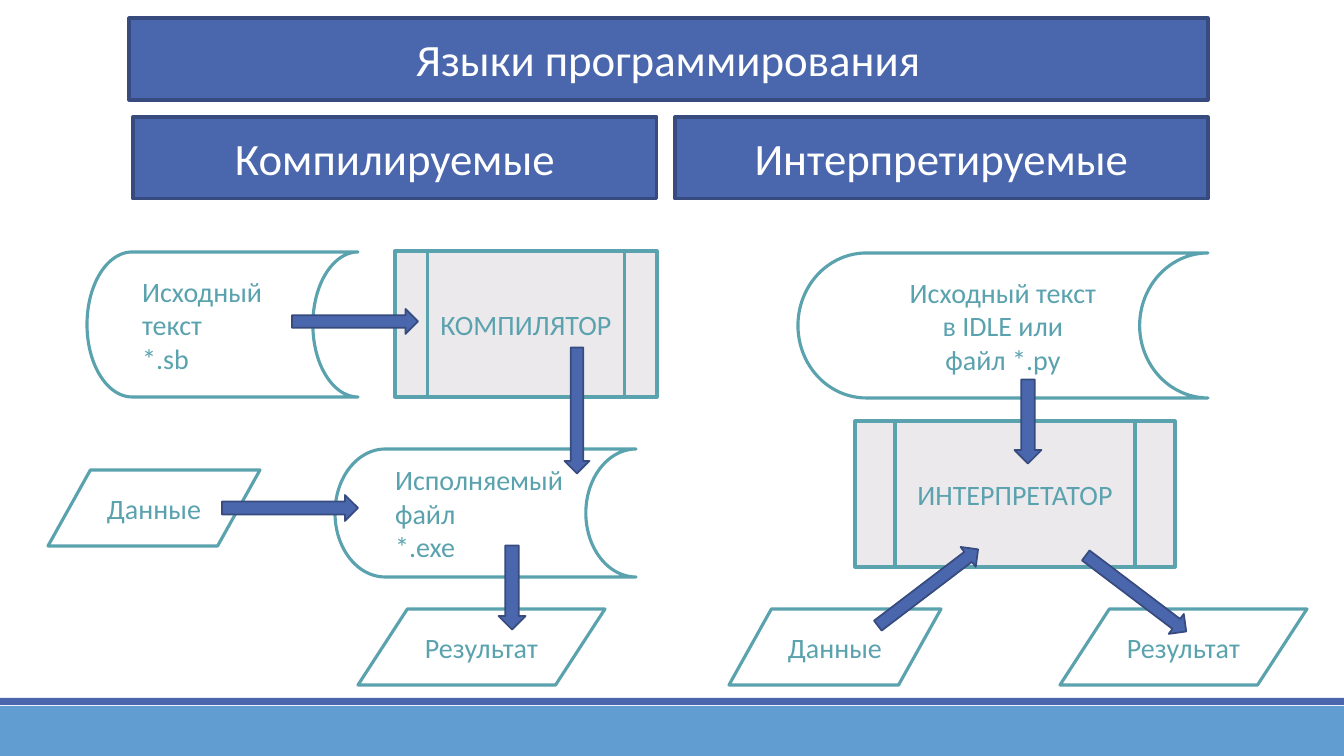
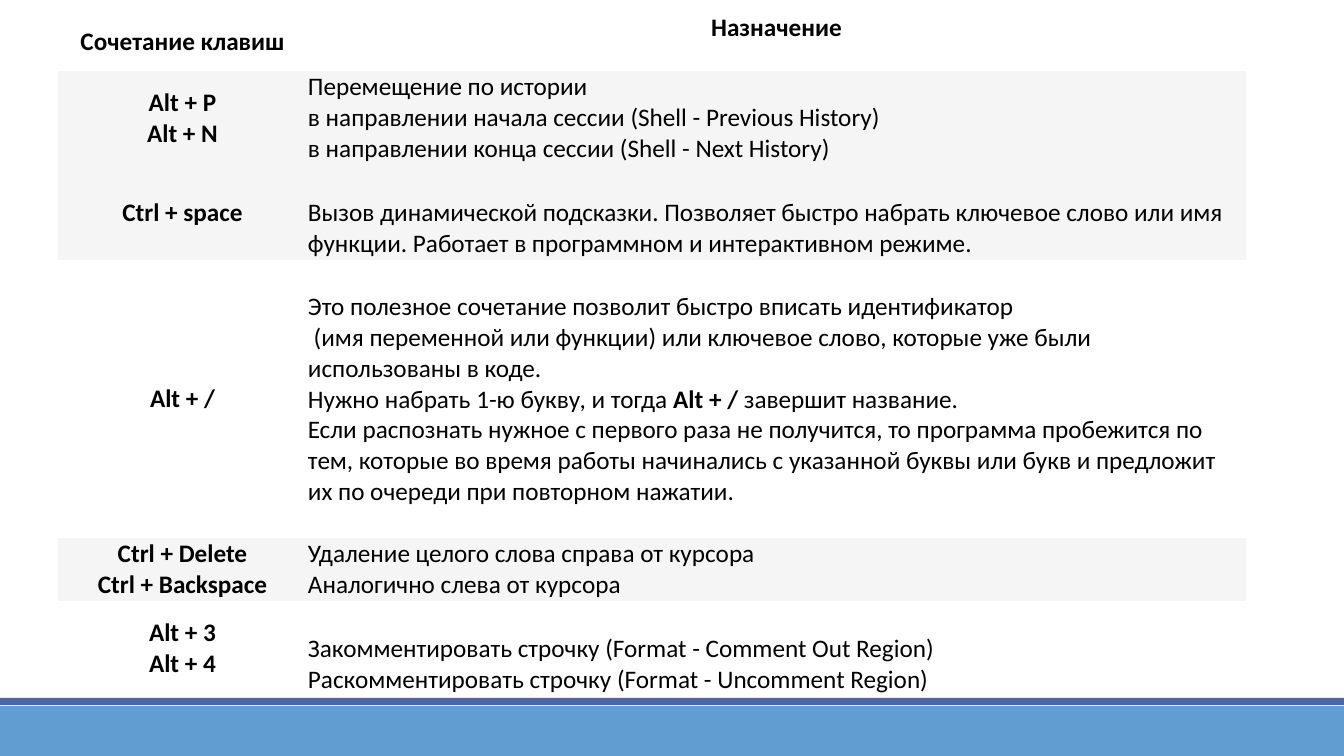
from pptx import Presentation
from pptx.dml.color import RGBColor
from pptx.enum.shapes import MSO_SHAPE as SHAPE
from pptx.enum.text import MSO_ANCHOR as ANCHOR, MSO_AUTO_SIZE as AUTO, PP_ALIGN as ALIGN
from pptx.util import Pt

INDIGO = RGBColor(0x4A, 0x66, 0xAC)
NAVY = RGBColor(0x37, 0x4B, 0x7F)
BLUE = RGBColor(0x62, 0x9D, 0xD1)
TEAL = RGBColor(0x5A, 0xA2, 0xAE)
PALE = RGBColor(0xEB, 0xE9, 0xEC)
GREY = RGBColor(0xF5, 0xF5, 0xF5)
WHITE = RGBColor(0xFF, 0xFF, 0xFF)
BLACK = RGBColor(0x00, 0x00, 0x00)
FONT = "Calibri"
PX = 914400 / 100.8


def px(*values):
    return [round(v * PX) for v in values]


def style(sp, fill=None, line=None, width=2.25, text="", size=20, color=TEAL, align=ALIGN.CENTER):
    if fill is None:
        sp.fill.background()
    else:
        sp.fill.solid()
        sp.fill.fore_color.rgb = fill
    if line is None:
        sp.line.fill.background()
    else:
        sp.line.color.rgb = line
        sp.line.width = Pt(width)
    if not text:
        return
    tf = sp.text_frame
    tf.text = text
    tf.word_wrap = True
    tf.auto_size = AUTO.NONE
    tf.vertical_anchor = ANCHOR.MIDDLE
    for p in tf.paragraphs:
        p.alignment = align
        for r in p.runs:
            r.font.name, r.font.size = FONT, Pt(size)
            r.font.color.rgb = color


prs = Presentation()
prs.slide_width, prs.slide_height = px(1344, 756)

s = prs.slides.add_slide(prs.slide_layouts[5])

master = prs.slide_master.shapes.element
for number, (y, h, fill) in enumerate([(706, 50, BLUE), (698, 7, INDIGO)], 101):
    band = s.shapes.add_shape(SHAPE.RECTANGLE, *px(0, y, 1344, h))
    band.shadow.inherit = False
    style(band, fill)
    band.element.nvSpPr.cNvPr.set("id", str(number))
    master.append(band.element)

HEADING = dict(fill=INDIGO, line=NAVY, size=32, color=WHITE)
FILE = dict(line=TEAL)
FILE_LEFT = dict(line=TEAL, align=ALIGN.LEFT)
PROCESS = dict(line=TEAL, fill=PALE)

title = s.shapes.title
title.left, title.top, title.width, title.height = px(129, 18, 1079, 82)
style(title, text="Языки программирования", **HEADING)

boxes = [
    (SHAPE.RECTANGLE, 133, 117, 524, 82, "Компилируемые", HEADING),
    (SHAPE.RECTANGLE, 675, 117, 533, 82, "Интерпретируемые", HEADING),
    (SHAPE.FLOWCHART_STORED_DATA, 87, 252, 271, 145, "Исходный текст\n*.sb", FILE_LEFT),
    (SHAPE.FLOWCHART_PREDEFINED_PROCESS, 395, 251, 262, 146, "КОМПИЛЯТОР", PROCESS),
    (SHAPE.FLOWCHART_STORED_DATA, 335, 449, 301, 128, "Исполняемый файл\n*.exe", FILE_LEFT),
    (SHAPE.FLOWCHART_DATA, 48, 470, 212, 76, "Данные", FILE),
    (SHAPE.FLOWCHART_DATA, 358, 609, 247, 76, "Результат", FILE),
    (SHAPE.FLOWCHART_STORED_DATA, 798, 253, 410, 145, "Исходный текст\nв IDLE или\nфайл *.py", FILE),
    (SHAPE.FLOWCHART_PREDEFINED_PROCESS, 855, 421, 320, 146, "ИНТЕРПРЕТАТОР", PROCESS),
    (SHAPE.FLOWCHART_DATA, 729, 609, 212, 76, "Данные", FILE),
    (SHAPE.FLOWCHART_DATA, 1060, 609, 247, 76, "Результат", FILE),
]
for kind, x, y, w, h, text, look in boxes:
    sp = s.shapes.add_shape(kind, *px(x, y, w, h))
    sp.shadow.inherit = False
    style(sp, text=text, **look)

arrows = [
    (292, 309, 126, 25, 0),
    (222, 495, 136, 26, 0),
    (514, 398, 126, 25, 90),
    (470, 574, 84, 27, 90),
    (986, 408, 84, 27, 90),
    (865, 575, 126, 25, 322.7),
    (1073, 581, 126, 25, 37.1),
]
for x, y, w, h, angle in arrows:
    sp = s.shapes.add_shape(SHAPE.RIGHT_ARROW, *px(x, y, w, h))
    sp.shadow.inherit = False
    sp.rotation = angle
    style(sp, INDIGO, NAVY, 1.25)

s = prs.slides.add_slide(prs.slide_layouts[6])
rows = [
    (59, 1, WHITE, "Сочетание клавиш", "|Назначение|"),
    (94, 1, GREY, "Alt + P\nAlt + N",
     "Перемещение по истории\n"
     "в направлении начала сессии (Shell - Previous History)\n"
     "в направлении конца сессии (Shell - Next History)"),
    (94, 32, GREY, "Ctrl + space",
     "Вызов динамической подсказки. Позволяет быстро набрать ключевое слово или имя "
     "функции. Работает в программном и интерактивном режиме."),
    (278, 32, WHITE, "Alt + /",
     "Это полезное сочетание позволит быстро вписать идентификатор\n"
     " (имя переменной или функции) или ключевое слово, которые уже были "
     "использованы в коде.\n"
     "Нужно набрать 1-ю букву, и тогда |Alt + /| завершит название.\n"
     "Если распознать нужное с первого раза не получится, то программа пробежится по "
     "тем, которые во время работы начинались с указанной буквы или букв и предложит их "
     "по очереди при повторном нажатии."),
    (63, 1, GREY, "Ctrl + Delete\nCtrl + Backspace",
     "Удаление целого слова справа от курсора\nАналогично слева от курсора"),
    (94, 32, WHITE, "Alt + 3\nAlt + 4",
     "Закомментировать строчку (Format - Comment Out Region)\n"
     "Раскомментировать строчку (Format - Uncomment Region)"),
]
frame = s.shapes.add_table(len(rows), 2, *px(58, 12, 1188, sum(row[0] for row in rows)))
frame.element.xpath(".//a:tableStyleId")[0].text = "{2D5ABB26-0587-4C30-8999-92F81FD0307C}"
table = frame.table
table.first_row = table.horz_banding = False
for column, width in zip(table.columns, px(249, 939)):
    column.width = width

for i, (height, top, fill, keys, purpose) in enumerate(rows):
    table.rows[i].height = px(height)[0]
    for j, text in enumerate((keys, purpose)):
        cell = table.cell(i, j)
        cell.fill.solid()
        cell.fill.fore_color.rgb = fill
        cell.vertical_anchor = ANCHOR.TOP if j else ANCHOR.MIDDLE
        cell.margin_left, cell.margin_right, cell.margin_bottom = px(1, 1, 1)
        cell.margin_top = px(top if j else 1)[0]
        tf = cell.text_frame
        for n, line in enumerate(text.split("\n")):
            p = tf.add_paragraph() if n else tf.paragraphs[0]
            p.alignment = ALIGN.LEFT if i and j else ALIGN.CENTER
            for k, part in enumerate(line.split("|")):
                if part:
                    r = p.add_run()
                    r.text = part
                    for name, value in dict(name=FONT, size=Pt(18), bold=j == 0 or k % 2 == 1).items():
                        setattr(r.font, name, value)
                    r.font.color.rgb = BLACK

prs.save("out.pptx")
